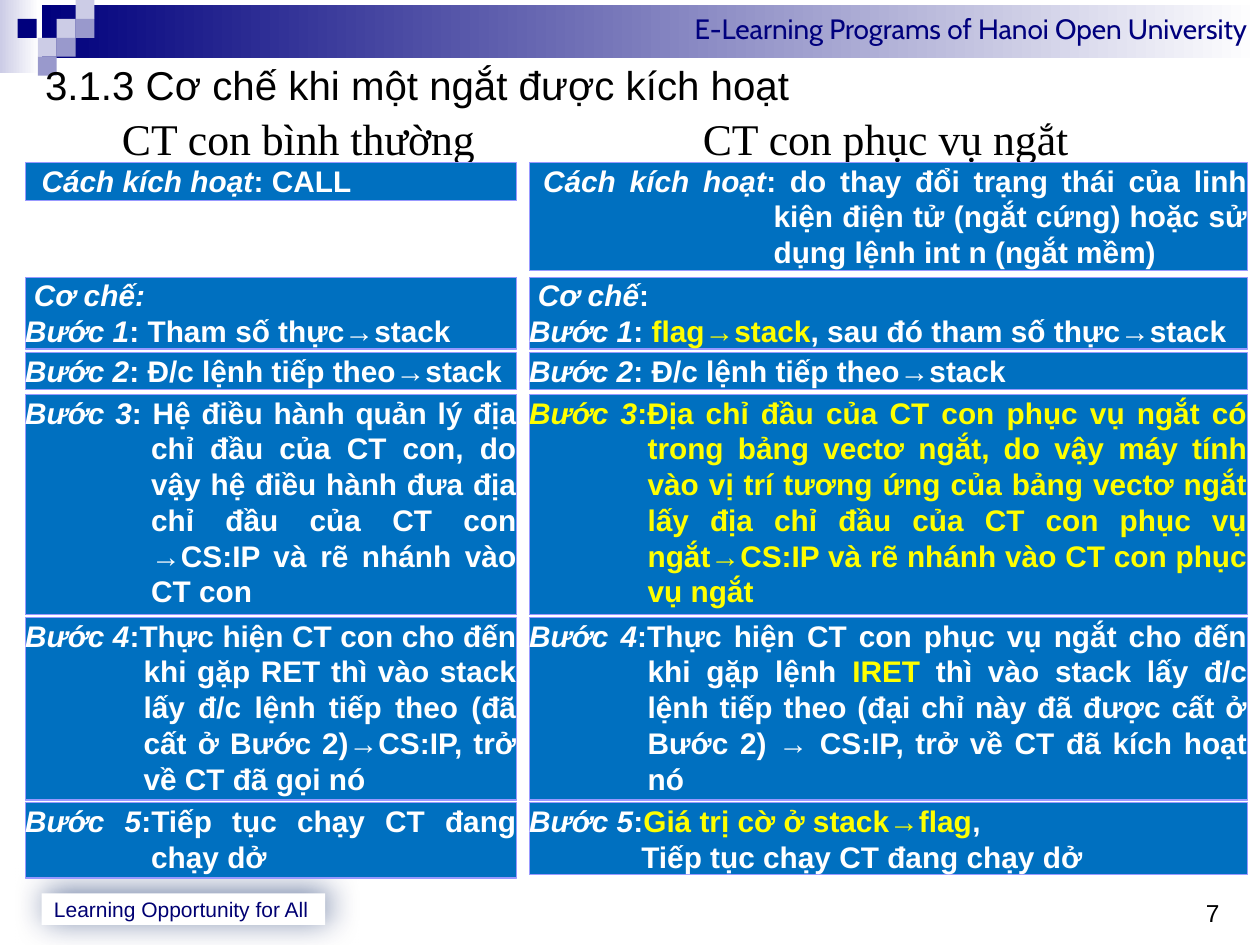
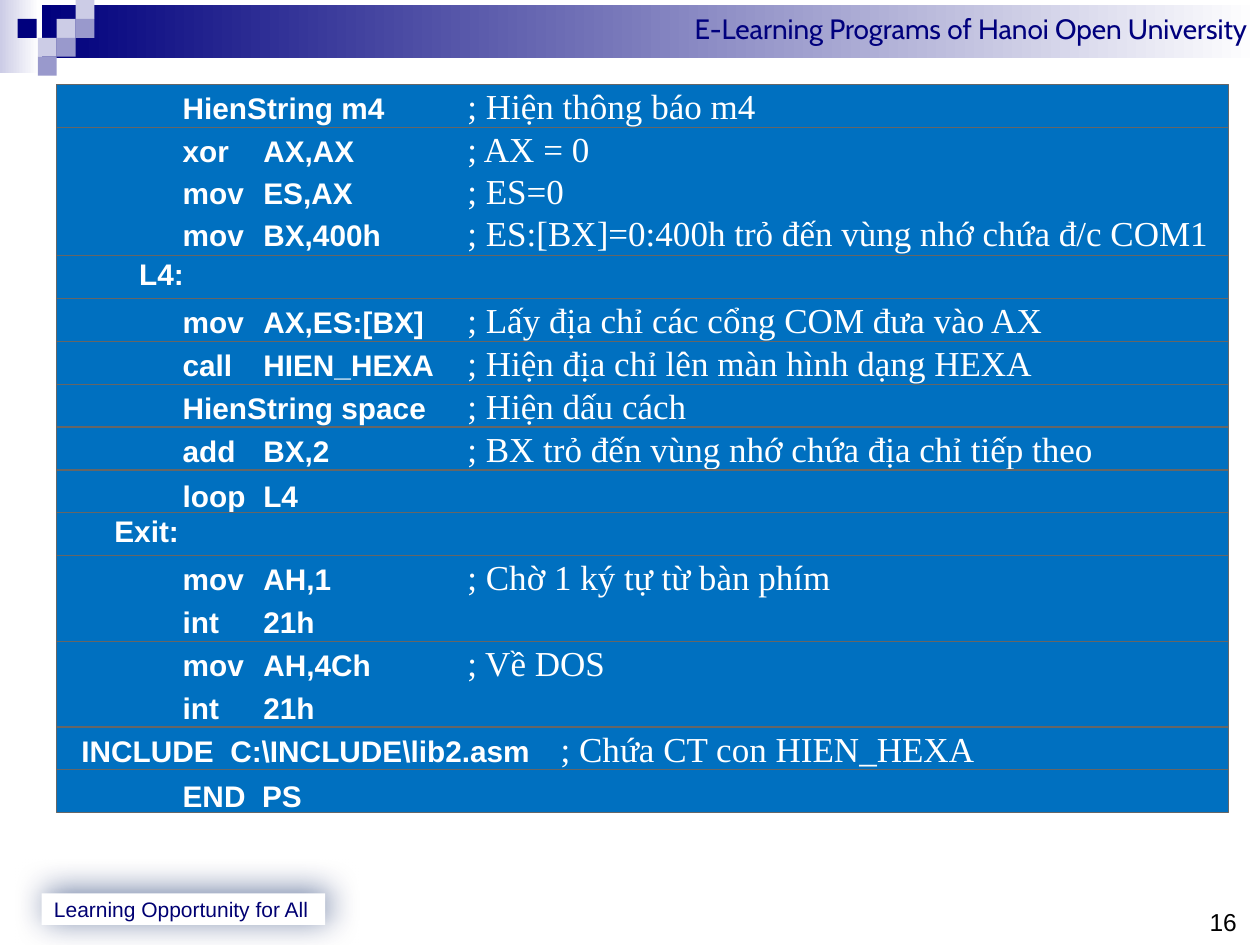
import pptx
import pptx.util
import pptx.dml.color
import pptx.enum.shapes
import pptx.enum.text
import pptx.oxml
import pptx.oxml.ns
from pptx.util import Inches

COLORS = {
    "navy": "00007D",
    "footer": "000072",
    "shadow": "002060",
    "lavender": "CCCCE6",
    "violet": "9999CC",
    "panel": "0070C0",
    "step_line": "9999FF",
    "code_line": "666666",
    "white": "FFFFFF",
    "yellow": "FFFF00",
    "black": "000000",
}
ALIGN = pptx.enum.text.PP_ALIGN
ANCHOR = pptx.enum.text.MSO_ANCHOR
SANS, SERIF = "Arial", "Times New Roman"

SQUARE = 0.15
SQUARES = [
    (0.45, 0.15, "lavender"),
    (0.6, 0, "lavender"),
    (0.6, 0.15, "violet"),
    (0.3, 0.3, "lavender"),
    (0.14, 0.15, "navy"),
    (0.45, 0.3, "violet"),
    (0.3, 0.45, "violet"),
]

CALL_LEFT, CALL_WIDTH = 0.2, 3.9
INTERRUPT_LEFT, INTERRUPT_WIDTH = 4.2, 5.7

# fmt: off
STEPS = [
    (1.29, 0.3, 0.86,
     [(0, 0.13, [("Cách kích hoạt", "i"), (": CALL", "")])],
     [(1.94, 0.11, [("Cách kích hoạt", "i"),
                    (": do thay đổi trạng thái của linh kiện điện tử (ngắt cứng) "
                     "hoặc sử dụng lệnh int n (ngắt mềm)", "")])]),
    (2.2, 0.57, 0.57,
     [(0, 0.07, [("Cơ chế:", "i")]),
      (0, 0, [("Bước 1", "i"), (": Tham số thực→stack", "")])],
     [(0, 0.07, [("Cơ chế", "i"), (":", "")]),
      (0, 0, [("Bước 1", "i"), (": ", ""), ("flag→stack", "y"),
              (", sau đó tham số thực→stack", "")])]),
    (2.8, 0.29, 0.29,
     [(0, 0, [("Bước 2", "i"), (": Đ/c lệnh tiếp theo→stack", "")])],
     [(0, 0, [("Bước 2", "i"), (": Đ/c lệnh tiếp theo→stack", "")])]),
    (3.13, 1.75, 1.75,
     [(1, 0, [("Bước 3", "i"),
              (": Hệ điều hành quản lý địa chỉ đầu của CT con, do vậy hệ điều hành "
               "đưa địa chỉ đầu của CT con →CS:IP và rẽ nhánh vào CT con", "")])],
     [(0.94, 0, [("Bước 3", "iy"),
                 (":Địa chỉ đầu của CT con phục vụ ngắt có trong bảng vectơ ngắt, "
                  "do vậy máy tính vào vị trí tương ứng của bảng vectơ ngắt lấy địa "
                  "chỉ đầu của CT con phục vụ ngắt→CS:IP và rẽ nhánh vào CT con "
                  "phục vụ ngắt", "y")])]),
    (4.9, 1.45, 1.45,
     [(0.94, 0, [("Bước 4", "i"),
                 (":Thực hiện CT con cho đến khi gặp RET thì vào stack lấy đ/c lệnh "
                  "tiếp theo (đã cất ở Bước 2)→CS:IP, trở về CT đã gọi nó", "")])],
     [(0.94, 0, [("Bước 4", "i"),
                 (":Thực hiện CT con phục vụ ngắt cho đến khi gặp lệnh ", ""),
                 ("IRET ", "y"),
                 ("thì vào stack lấy đ/c lệnh tiếp theo (đại chỉ này đã được cất ở "
                  "Bước 2) → CS:IP, trở về CT đã kích hoạt nó", "")])]),
    (6.37, 0.6, 0.57,
     [(1, 0, [("Bước 5", "i"), (":Tiếp tục chạy CT đang chạy dở", "")])],
     [(0.89, 0, [("Bước 5", "i"), (":", ""),
                 ("Giá trị cờ ở stack→flag", "y"), (",", "")]),
      (0.89, 0.89, [("Tiếp tục chạy CT đang chạy dở", "")])]),
]

CODE_TOP, CODE_PITCH = 0.67, 0.34
CODE_TABS = (1, 1.64, 3.26, 4)
CODE_BLOCKS = [
    (24, [("\tHienString m4\t", "; Hiện thông báo m4")]),
    (24, [("\txor\tAX,AX\t", "; AX = 0"),
          ("\tmov\tES,AX\t", "; ES=0"),
          ("\tmov\tBX,400h\t", "; ES:[BX]=0:400h trỏ đến vùng nhớ chứa đ/c COM1")]),
    (None, [("          L4:", "")]),
    (24, [("\tmov\tAX,ES:[BX]\t", "; Lấy địa chỉ các cổng COM đưa vào AX")]),
    (24, [("\tcall\tHIEN_HEXA\t", "; Hiện địa chỉ lên màn hình dạng HEXA")]),
    (24, [("\tHienString space\t", "; Hiện dấu cách")]),
    (24, [("\tadd\tBX,2\t", "; BX trỏ đến vùng nhớ chứa địa chỉ tiếp theo")]),
    (25, [("\tloop\tL4", "")]),
    (None, [("       Exit:", "")]),
    (24, [("\tmov\tAH,1\t", "; Chờ 1 ký tự từ bàn phím"), ("\tint\t21h", "")]),
    (24, [("\tmov\tAH,4Ch\t", "; Về DOS"), ("\tint\t21h", "")]),
    (24, [("   INCLUDE  C:\\INCLUDE\\lib2.asm\t", "; Chứa CT con HIEN_HEXA")]),
    (25, [("\tEND  PS", "")]),
]
# fmt: on


def rgb(color):
    return pptx.dml.color.RGBColor.from_string(COLORS[color])


def set_font(font, name=None, size=None, color=None, bold=None):
    if name:
        font.name = name
    if size:
        font.size = pptx.util.Pt(size)
    if color:
        font.color.rgb = rgb(color)
    if bold is not None:
        font.bold = bold


def set_indent(paragraph, margin, first):
    properties = paragraph._p.get_or_add_pPr()
    properties.set("marL", str(Inches(margin)))
    properties.set("indent", str(Inches(first - margin)))


def set_tabs(paragraph, positions):
    tab_list = pptx.oxml.parse_xml(
        f"<a:tabLst {pptx.oxml.ns.nsdecls('a')}>"
        + "".join(f'<a:tab pos="{Inches(p)}" algn="l"/>' for p in positions)
        + "</a:tabLst>"
    )
    paragraph._p.get_or_add_pPr().append(tab_list)


def add_run(paragraph, text):
    run = paragraph.add_run()
    run.text = text
    return run


def add_paragraphs(frame, count):
    return [frame.paragraphs[0]] + [frame.add_paragraph() for _ in range(count - 1)]


def add_rect(slide, left, top, width, height, fill, line=None):
    rect = slide.shapes.add_shape(
        pptx.enum.shapes.MSO_SHAPE.RECTANGLE,
        Inches(left), Inches(top), Inches(width), Inches(height),
    )
    rect.shadow.inherit = False
    if isinstance(fill, tuple):
        rect.fill.gradient()
        rect.fill.gradient_angle = 0
        for stop, color in zip(rect.fill.gradient_stops, fill):
            stop.color.rgb = rgb(color)
    else:
        rect.fill.solid()
        rect.fill.fore_color.rgb = rgb(fill)
    if line:
        rect.line.color.rgb = rgb(line)
        rect.line.width = pptx.util.Pt(0.75)
    else:
        rect.line.fill.background()
    return rect


def add_panel(slide, left, top, width, height, line):
    frame = add_rect(slide, left, top, width, height, "panel", line).text_frame
    frame.margin_left = frame.margin_right = frame.margin_top = frame.margin_bottom = 0
    frame.vertical_anchor = ANCHOR.TOP
    frame.word_wrap = True
    return frame


def add_label(rect, text, anchor, align, name, size, color):
    frame = rect.text_frame
    frame.word_wrap = True
    frame.vertical_anchor = anchor
    paragraph = frame.paragraphs[0]
    paragraph.alignment = align
    add_run(paragraph, text)
    set_font(paragraph.font, name, size, color)


def add_footer_shadow(footer):
    effects = footer._element.spPr.find(pptx.oxml.ns.qn("a:effectLst"))
    effects.append(pptx.oxml.parse_xml(
        f'<a:outerShdw {pptx.oxml.ns.nsdecls("a")} blurRad="{pptx.util.Pt(19)}" '
        f'dist="{pptx.util.Pt(3)}" dir="{315 * 60000}" algn="ctr" rotWithShape="0">'
        f'<a:srgbClr val="{COLORS["shadow"]}"><a:alpha val="56000"/></a:srgbClr>'
        "</a:outerShdw>"
    ))


def add_frame(slide):
    add_rect(slide, 0, 0, 0.31, 0.58, ("lavender", "white"))
    band = add_rect(slide, 0.33, 0.04, 9.67, 0.42, ("navy", "white"))
    add_label(band, "E-Learning Programs of Hanoi Open University",
              ANCHOR.TOP, ALIGN.RIGHT, "Cabin", 16, "navy")
    for left, top, color in SQUARES:
        add_rect(slide, left, top, SQUARE, SQUARE, color)
    footer = add_rect(slide, 0.33, 7.09, 2.25, 0.25, "white")
    add_footer_shadow(footer)
    add_label(footer, "Learning Opportunity for All",
              ANCHOR.MIDDLE, ALIGN.LEFT, SANS, 12, "footer")


def add_page_number(slide, number, left, top, width):
    box = slide.shapes.add_textbox(Inches(left), Inches(top), Inches(width), Inches(0.3))
    box.text_frame.margin_left = box.text_frame.margin_right = 0
    add_label(box, number, ANCHOR.TOP, ALIGN.LEFT, SANS, 14, "black")


def add_headings(slide):
    box = slide.shapes.add_textbox(Inches(0.26), Inches(0.43), Inches(9.7), Inches(0.9))
    box.text_frame.word_wrap = True
    title, columns = add_paragraphs(box.text_frame, 2)
    add_run(title, "3.1.3 Cơ chế khi một ngắt được kích hoạt")
    set_font(title.font, SANS, 23, "black")
    columns.space_before = pptx.util.Pt(2)
    set_tabs(columns, (0.61, 5.22))
    add_run(columns, "\tCT con bình thường\tCT con phục vụ ngắt")
    set_font(columns.font, SERIF, 25, "black")


def add_step(slide, left, top, width, height, contents):
    frame = add_panel(slide, left, top, width, height, "step_line")
    paragraphs = add_paragraphs(frame, len(contents))
    for paragraph, (margin, first, runs) in zip(paragraphs, contents):
        paragraph.alignment = ALIGN.JUSTIFY if margin else ALIGN.LEFT
        set_indent(paragraph, margin, first)
        set_font(paragraph.font, SANS, 17, bold=True)
        for text, style in runs:
            run = add_run(paragraph, text)
            run.font.italic = "i" in style
            set_font(run.font, color="yellow" if "y" in style else "white")


def add_code_block(slide, top, spacing, lines):
    frame = add_panel(slide, 0.45, top, 9.3, CODE_PITCH * len(lines), "code_line")
    for paragraph, (code, comment) in zip(add_paragraphs(frame, len(lines)), lines):
        paragraph.alignment = ALIGN.LEFT
        if spacing:
            paragraph.line_spacing = pptx.util.Pt(spacing)
        set_tabs(paragraph, CODE_TABS)
        set_font(paragraph.font, color="white")
        set_font(add_run(paragraph, code).font, SANS, 17, bold=True)
        if comment:
            set_font(add_run(paragraph, comment).font, SERIF, 20, bold=False)


def build_mechanism(slide):
    add_frame(slide)
    add_page_number(slide, "7", 9.57, 7.08, 0.2)
    add_headings(slide)
    for top, call_height, interrupt_height, call, interrupt in STEPS:
        add_step(slide, CALL_LEFT, top, CALL_WIDTH, call_height, call)
        add_step(slide, INTERRUPT_LEFT, top, INTERRUPT_WIDTH, interrupt_height, interrupt)


def build_listing(slide):
    add_frame(slide)
    line_count = 0
    for spacing, lines in CODE_BLOCKS:
        add_code_block(slide, CODE_TOP + CODE_PITCH * line_count, spacing, lines)
        line_count += len(lines)
    add_page_number(slide, "16", 9.6, 7.15, 0.3)


def main():
    deck = pptx.Presentation()
    deck.slide_width, deck.slide_height = Inches(10), Inches(7.5)
    for build in (build_mechanism, build_listing):
        build(deck.slides.add_slide(deck.slide_layouts[6]))
    deck.save("out.pptx")


if __name__ == "__main__":
    main()
